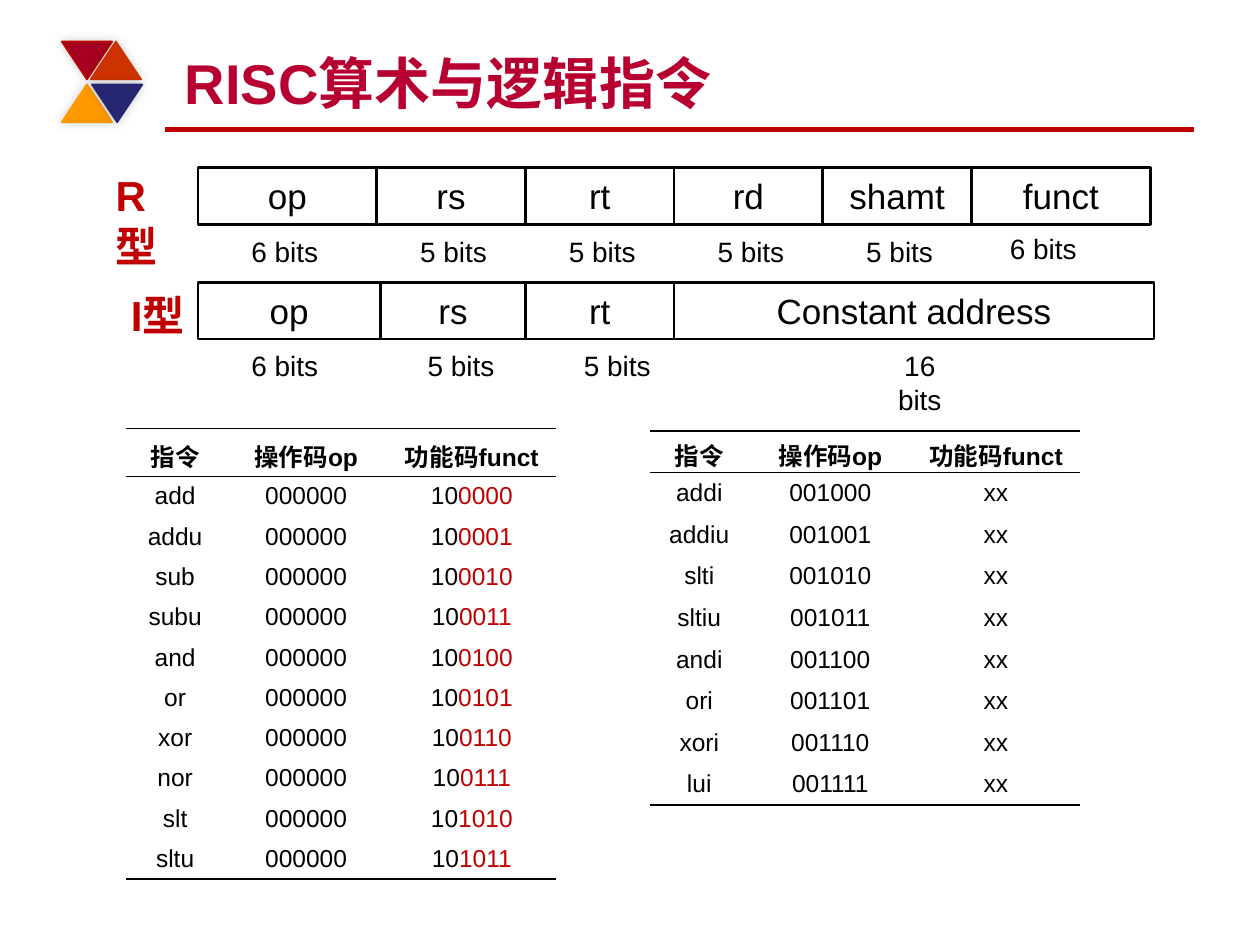
import pptx
import pptx.util
import pptx.dml.color
import pptx.enum.shapes
import pptx.enum.text
import pptx.oxml

Inches, Pt = pptx.util.Inches, pptx.util.Pt
hex_color = pptx.dml.color.RGBColor.from_string
PP_ALIGN = pptx.enum.text.PP_ALIGN
ANCHOR = pptx.enum.text.MSO_ANCHOR
SHAPE = pptx.enum.shapes.MSO_SHAPE
NS = 'xmlns:a="http://schemas.openxmlformats.org/drawingml/2006/main"'
BLACK, RED = "000000", "C00000"

deck = pptx.Presentation()
deck.slide_width, deck.slide_height = Inches(10), Inches(7.5)
slide = deck.slides.add_slide(deck.slide_layouts[6])


def write(frame, text, size, color=BLACK, bold=False, align=PP_ALIGN.CENTER, wrap=True):
    frame.word_wrap = wrap
    paragraph = frame.paragraphs[0]
    paragraph.text = text
    paragraph.alignment = align
    paragraph.font.name = "Arial"
    paragraph.font.size = Pt(size)
    paragraph.font.bold = bold
    paragraph.font.color.rgb = hex_color(color)
    return paragraph


def add_label(text, left, top, width, height, size, **style):
    frame = slide.shapes.add_textbox(
        Inches(left), Inches(top), Inches(width), Inches(height)).text_frame
    write(frame, text, size, **style)
    return frame


title_rule = slide.shapes.add_connector(
    pptx.enum.shapes.MSO_CONNECTOR.STRAIGHT,
    Inches(1.31), Inches(1.03), Inches(9.48), Inches(1.03))
title_rule.line.color.rgb = hex_color(RED)
title_rule.line.width = Pt(3)
title_rule._element.spPr.append(pptx.oxml.parse_xml(f"<a:effectLst {NS}/>"))

for left, top, turn, fill, edge in [
    (0.49, 0.33, 180, "A50021", RED),
    (0.72, 0.33, 0, "CC3300", "CC3300"),
    (0.49, 0.67, 0, "FF9900", "FF9900"),
    (0.73, 0.67, 180, "262673", "262673"),
]:
    ornament = slide.shapes.add_shape(
        SHAPE.ISOSCELES_TRIANGLE, Inches(left), Inches(top), Inches(0.4), Inches(0.3))
    ornament.rotation = turn
    ornament.fill.solid()
    ornament.fill.fore_color.rgb = hex_color(fill)
    ornament.line.color.rgb = hex_color(edge)
    ornament.line.width = Pt(1)
    ornament._element.spPr.append(pptx.oxml.parse_xml(
        f'<a:effectLst {NS}><a:outerShdw blurRad="76200" dist="0" dir="18900000">'
        '<a:srgbClr val="000000"><a:alpha val="20000"/></a:srgbClr>'
        '</a:outerShdw></a:effectLst>'))

title = add_label("RISC算术与逻辑指令", 1.37, 0.25, 8, 0.67, 32,
                  color="B70031", bold=True, align=PP_ALIGN.LEFT)
title.vertical_anchor = ANCHOR.BOTTOM
title.margin_bottom = 0

formats = [
    (1.33,
     [("op", 1.42), ("rs", 1.18), ("rt", 1.18), ("rd", 1.18), ("shamt", 1.18), ("funct", 1.42)],
     [("6 bits", 2.26), ("5 bits", 3.6), ("5 bits", 4.78), ("5 bits", 5.96),
      ("5 bits", 7.14), ("6 bits", 8.28)]),
    (2.24,
     [("op", 1.45), ("rs", 1.15), ("rt", 1.18), ("Constant address", 3.81)],
     [("6 bits", 2.26), ("5 bits", 3.66), ("5 bits", 4.9), ("16 bits", 7.3)]),
]
for top, fields, bit_counts in formats:
    left = 1.57
    for name, width in fields:
        field = slide.shapes.add_shape(
            SHAPE.RECTANGLE, Inches(left), Inches(top), Inches(width), Inches(0.45))
        field.shadow.inherit = False
        field.fill.background()
        field.line.color.rgb = hex_color(BLACK)
        field.line.width = Pt(1.5)
        write(field.text_frame, name, 20)
        left += width
    for bits, center in bit_counts:
        label_top = top + (0.46 if center == 8.28 else 0.48)
        add_label(bits, center - 0.4, label_top, 0.8, 0.37, 16, wrap=False)

for text, left, top, width in [("R型", 0.82, 1.3, 0.7), ("I型", 0.94, 2.25, 0.63)]:
    add_label(text, left, top, width, 0.5, 24, color=RED, bold=True, align=PP_ALIGN.LEFT)

arithmetic = [
    ("add", "0000"), ("addu", "0001"), ("sub", "0010"), ("subu", "0011"), ("and", "0100"),
    ("or", "0101"), ("xor", "0110"), ("nor", "0111"), ("slt", "1010"), ("sltu", "1011"),
]
immediate = ["addi", "addiu", "slti", "sltiu", "andi", "ori", "xori", "lui"]
r_rows = [(name, "000000", "10", tail) for name, tail in arithmetic]
i_rows = [(name, f"{8 + i:06b}", "xx", "") for i, name in enumerate(immediate)]
heading = ("指令", "操作码op", "功能码funct", "")

for left, top, header_height, row_height, body in [
    (1, 3.4, 0.38, 0.32, r_rows),
    (5.16, 3.42, 0.33, 0.33, i_rows),
]:
    rows = [heading] + body
    codes = slide.shapes.add_table(
        len(rows), 3, Inches(left), Inches(top), Inches(3.41),
        Inches(header_height + row_height * len(body))).table
    codes.first_row = codes.horz_banding = False
    codes._tbl.tblPr[0].text = "{2D5ABB26-0587-4C30-8999-92F81FD0307C}"
    for column, width in zip(codes.columns, (0.78, 1.3, 1.33)):
        column.width = Inches(width)
    for r, (*texts, tail) in enumerate(rows):
        is_header = r == 0
        codes.rows[r].height = Inches(header_height if is_header else row_height)
        edges = ["lnT", "lnB"] if is_header else ["lnB"] if r == len(body) else []
        for c, text in enumerate(texts):
            cell = codes.cell(r, c)
            cell.fill.background()
            cell.vertical_anchor = ANCHOR.MIDDLE
            cell.margin_left = cell.margin_right = Inches(0.05)
            cell.margin_top = Inches(0.05 if is_header else 0)
            cell.margin_bottom = 0
            paragraph = write(cell.text_frame, text, 14, bold=is_header)
            if c == 2 and tail:
                varying_bits = paragraph.add_run()
                varying_bits.text = tail
                varying_bits.font.color.rgb = hex_color(RED)
            for i, edge in enumerate(edges):
                cell._tc.tcPr.insert(i, pptx.oxml.parse_xml(
                    f'<a:{edge} {NS} w="12700"><a:solidFill><a:srgbClr val="{BLACK}"/>'
                    f'</a:solidFill></a:{edge}>'))

deck.save("out.pptx")
